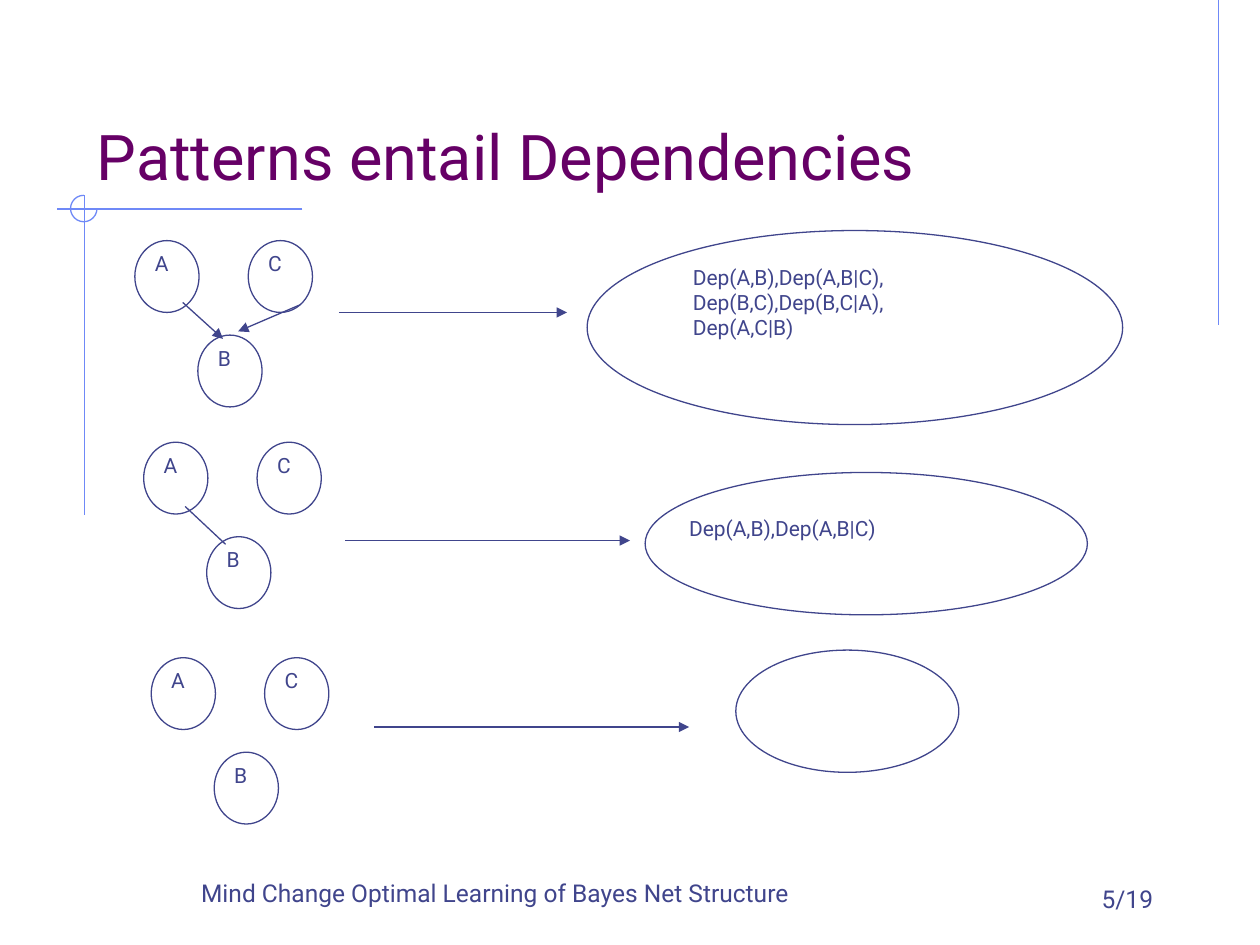
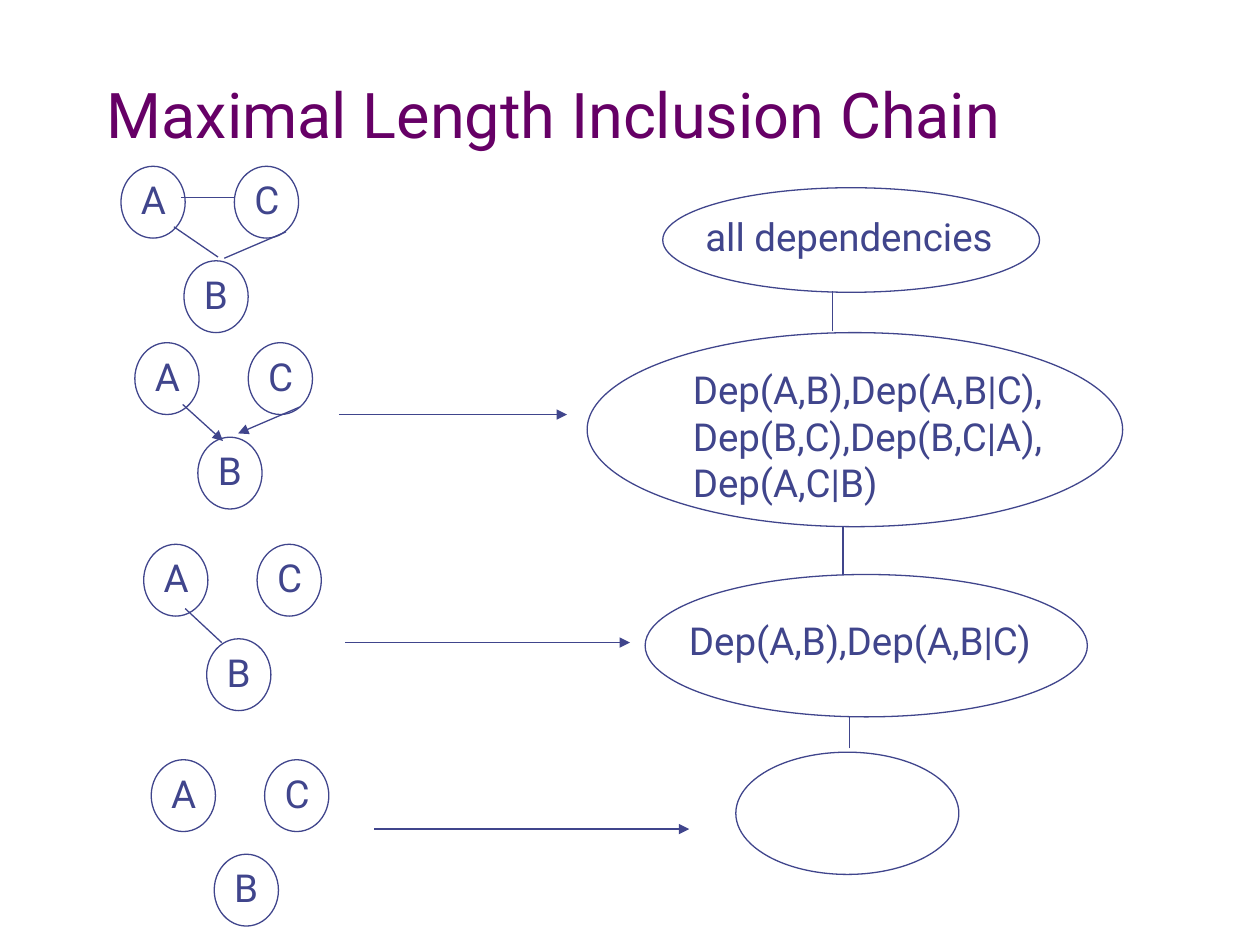
from copy import deepcopy

from lxml.etree import SubElement
from pptx import Presentation
from pptx.dml.color import RGBColor
from pptx.enum.shapes import MSO_CONNECTOR as CONN, MSO_SHAPE as SHAPE
from pptx.enum.text import MSO_ANCHOR as ANCHOR, PP_ALIGN as ALIGN
from pptx.oxml.ns import qn
from pptx.util import Inches, Pt

INK = RGBColor(0x40, 0x45, 0x8C)
PURPLE = RGBColor(0x66, 0x00, 0x66)
SKY = RGBColor(0x6F, 0x89, 0xF7)
WHITE = RGBColor(0xFF, 0xFF, 0xFF)
FONT = "Roboto"
CHAIN_SHIFT = 0.81


def add_text(s, text, x, y, w, h, size, color=INK, align=ALIGN.LEFT,
             anchor=ANCHOR.TOP, wrap=True):
    box = s.shapes.add_textbox(Inches(x), Inches(y), Inches(w), Inches(h))
    tf = box.text_frame
    tf.word_wrap = wrap
    tf.vertical_anchor = anchor
    p = tf.paragraphs[0]
    p.text = text
    p.alignment = align
    for r in p.runs:
        r.font.name = FONT
        r.font.size = Pt(size)
        r.font.color.rgb = color
    for br in p._p.findall(qn("a:br")):
        br.append(deepcopy(p.runs[0]._r.rPr))
    return tf


def add_title(s, text, x, y, h):
    add_text(s, text, x, y, 8.5, h, 36, PURPLE, anchor=ANCHOR.BOTTOM)


def add_label(s, text, x, y, ems, size):
    lines = text.count("\n") + 1
    add_text(s, text, x, y, 0.2 + ems * size / 72, 0.1 + lines * size / 60,
             size, wrap=False)


def add_outline(s, kind, x, y, w, h, color=INK):
    sp = s.shapes.add_shape(kind, Inches(x), Inches(y), Inches(w), Inches(h))
    sp.shadow.inherit = False
    sp.fill.background()
    sp.line.color.rgb = color
    sp.line.width = Pt(0.75)
    return sp


def add_line(s, x1, y1, x2, y2, color=INK, arrow=False):
    line = s.shapes.add_connector(CONN.STRAIGHT, Inches(x1), Inches(y1),
                                  Inches(x2), Inches(y2))
    line.line.color.rgb = color
    line.line.width = Pt(0.75)
    if arrow:
        SubElement(line.line._get_or_add_ln(), qn("a:tailEnd"), type="triangle")
    SubElement(line._element.spPr, qn("a:effectLst"))


def add_nodes(s, x, y, size):
    for name, dx, dy in (("A", 0, 0), ("B", 0.5, 0.75), ("C", 0.9, 0)):
        add_label(s, name, x + dx + 0.06, y + dy + 0.03, 0.63, size)
        add_outline(s, SHAPE.OVAL, x + dx, y + dy, 0.51, 0.57)


def add_chain(s, dy, size):
    for x, y in ((1.07, 1.91), (1.14, 3.51), (1.2, 5.22)):
        add_nodes(s, x, y + dy, size)
    for x1, y1, x2, y2 in ((1.45, 2.4, 1.77, 2.69), (2.38, 2.42, 1.89, 2.63),
                           (2.69, 2.48, 4.5, 2.48), (2.74, 4.29, 5, 4.29),
                           (2.97, 5.77, 5.47, 5.77)):
        add_line(s, x1, y1 + dy, x2, y2 + dy, arrow=True)
    for x, y, w, h in ((4.66, 1.83, 4.25, 1.54), (5.12, 3.75, 3.51, 1.13),
                       (5.84, 5.16, 1.77, 0.97)):
        add_outline(s, SHAPE.OVAL, x, y + dy, w, h)
    add_label(s, "Dep(A,B),Dep(A,B|C),\nDep(B,C),Dep(B,C|A),\nDep(A,C|B)",
              5.4, 2.05 + dy, 9.83, size)
    add_label(s, "Dep(A,B),Dep(A,B|C)", 5.37, 4.04 + dy, 9.55, size)


def add_frame(s):
    for ends in ((9.67, 0, 9.67, 2.58), (2.4, 1.66, 0.45, 1.66),
                 (0.67, 1.55, 0.67, 4.09)):
        add_line(s, *ends, color=SKY)
    arc = add_outline(s, SHAPE.ARC, 0.56, 1.55, 0.21, 0.21, SKY)
    arc.adjustments[0] = 0
    arc.adjustments[1] = 162


def add_footer(s, text, number):
    add_text(s, text, 1.18, 6.91, 5.5, 0.34, 14, align=ALIGN.CENTER,
             anchor=ANCHOR.BOTTOM)
    tf = add_text(s, number, 7.17, 7, 2.08, 0.5, 14, align=ALIGN.RIGHT,
                  anchor=ANCHOR.BOTTOM)
    tf.margin_top = 0
    tf.margin_bottom = Inches(0.27)


def add_slide(prs):
    s = prs.slides.add_slide(prs.slide_layouts[6])
    s.background.fill.solid()
    s.background.fill.fore_color.rgb = WHITE
    return s


def build_patterns(prs):
    s = add_slide(prs)
    add_frame(s)
    add_footer(s, "Mind Change Optimal Learning of Bayes Net Structure", "5/19")
    add_title(s, "Patterns entail Dependencies", 0.67, 0.33, 1.25)
    add_chain(s, 0, 12)
    add_line(s, 1.47, 4.02, 1.79, 4.32)


def build_inclusion_chain(prs):
    s = add_slide(prs)
    add_title(s, "Maximal Length Inclusion Chain", 0.75, 0.34, 0.91)
    add_chain(s, CHAIN_SHIFT, 22)
    add_nodes(s, 0.96, 1.32, 22)
    add_outline(s, SHAPE.OVAL, 5.26, 1.49, 2.99, 0.83)
    add_label(s, "all dependencies", 5.5, 1.64, 7.85, 22)
    for ends in ((1.47, 4.83, 1.76, 5.1), (1.38, 1.8, 1.73, 2.04),
                 (2.27, 1.84, 1.78, 2.05), (1.44, 1.57, 1.86, 1.57),
                 (6.74, 5.94, 6.74, 5.68), (6.69, 4.56, 6.69, 4.18),
                 (6.61, 2.63, 6.61, 2.31)):
        add_line(s, *ends)


def main():
    prs = Presentation()
    prs.slide_width = Inches(10)
    prs.slide_height = Inches(7.5)
    build_patterns(prs)
    build_inclusion_chain(prs)
    prs.save("out.pptx")


if __name__ == "__main__":
    main()
